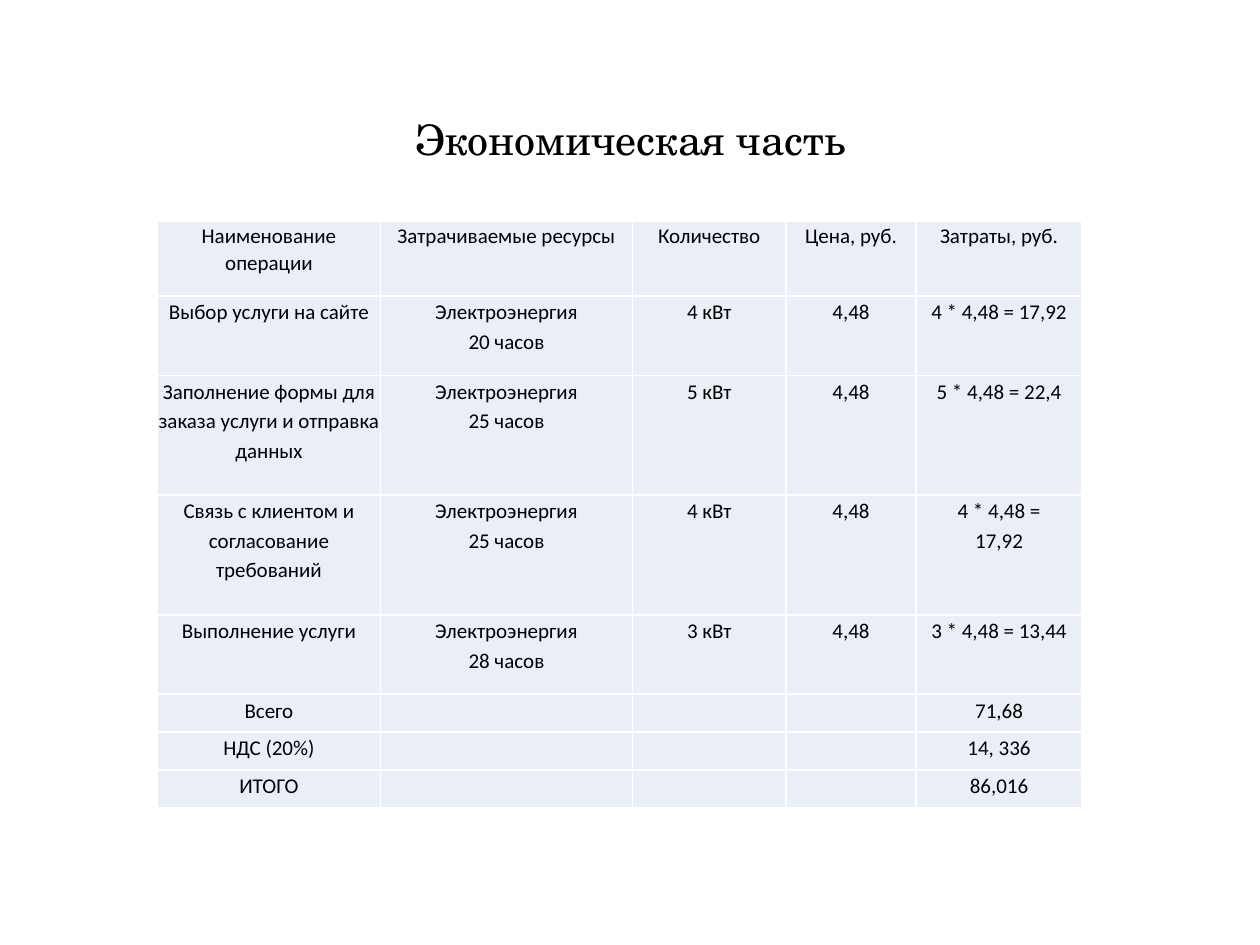
import pptx
import pptx.util
import pptx.dml.color
import pptx.enum.text
from lxml import etree
from pptx.oxml.ns import qn

Inches, Pt = pptx.util.Inches, pptx.util.Pt
CENTER = pptx.enum.text.PP_ALIGN.CENTER
MIDDLE = pptx.enum.text.MSO_ANCHOR.MIDDLE

TITLE = "Экономическая часть"
COLS = [1.77, 2, 1.22, 1.03, 1.32]
LEFT, TOP = 1.25, 1.76

# Each row: height, then its cells; a line break starts a new paragraph
USAGE = [
    (0.59, ["Наименование операции", "Затрачиваемые ресурсы", "Количество",
            "Цена, руб.", "Затраты, руб."]),
    (0.63, ["Выбор услуги на сайте", "Электроэнергия\n20 часов", "4 кВт",
            "4,48", "4 * 4,48 = 17,92"]),
    (0.95, ["Заполнение формы для заказа услуги и отправка данных",
            "Электроэнергия\n25 часов", "5 кВт", "4,48", "5 * 4,48 = 22,4"]),
]
TOTALS = [
    (0.95, ["Связь с клиентом и согласование требований",
            "Электроэнергия\n25 часов", "4 кВт", "4,48", "4 * 4,48 =\n17,92"]),
    (0.63, ["Выполнение услуги", "Электроэнергия\n28 часов", "3 кВт",
            "4,48", "3 * 4,48 = 13,44"]),
    (0.3, ["Всего", "", "", "", "71,68"]),
    (0.3, ["НДС (20%)", "", "", "", "14, 336"]),
    (0.3, ["ИТОГО", "", "", "", "86,016"]),
]


def color(text):
    return pptx.dml.color.RGBColor.from_string(text)


def style(frame, size, face, gap):
    for para in frame.paragraphs:
        para.alignment = CENTER
        para.line_spacing = gap
        font = para.font
        font.size, font.name = Pt(size), face
        font.color.rgb = color("000000")


def border(cell, hue):
    props = cell._tc.get_or_add_tcPr()
    for i, side in enumerate(("lnL", "lnR", "lnT", "lnB")):
        line = etree.Element(qn("a:" + side), w=str(Pt(1)))
        fill = etree.SubElement(line, qn("a:solidFill"))
        etree.SubElement(fill, qn("a:srgbClr"), val=hue)
        props.insert(i, line)


def add_grid(slide, top, rows):
    """Add a table and return the position of its lower edge."""
    high = sum(row[0] for row in rows)
    table = slide.shapes.add_table(
        len(rows), len(COLS), Inches(LEFT), Inches(top),
        Inches(sum(COLS)), Inches(high)).table
    table.first_row = table.horz_banding = False
    for col, width in zip(table.columns, COLS):
        col.width = Inches(width)
    for row, (height, texts) in zip(table.rows, rows):
        row.height = Inches(height)
        gap = 1.07 if texts is USAGE[0][1] else 1.15
        for cell, text in zip(row.cells, texts):
            cell.text = text
            cell.margin_left = cell.margin_right = 0
            cell.margin_top = cell.margin_bottom = 0
            cell.fill.solid()
            cell.fill.fore_color.rgb = color("EAEFF7")
            border(cell, "FFFFFF")
            style(cell.text_frame, 12, "Calibri", gap)
    return top + high


def main():
    deck = pptx.Presentation()
    deck.slide_width, deck.slide_height = Inches(10), Inches(7.5)
    slide = deck.slides.add_slide(deck.slide_layouts[6])

    box = slide.shapes.add_textbox(
        Inches(0.69), Inches(0.4), Inches(8.62), Inches(1.45))
    frame = box.text_frame
    frame.word_wrap = True
    frame.vertical_anchor = MIDDLE
    frame.text = TITLE
    style(frame, 24, "TeX Gyre Schola", 0.9)

    top = TOP
    for rows in (USAGE, TOTALS):
        top = add_grid(slide, top, rows)
    deck.save("out.pptx")


if __name__ == "__main__":
    main()
